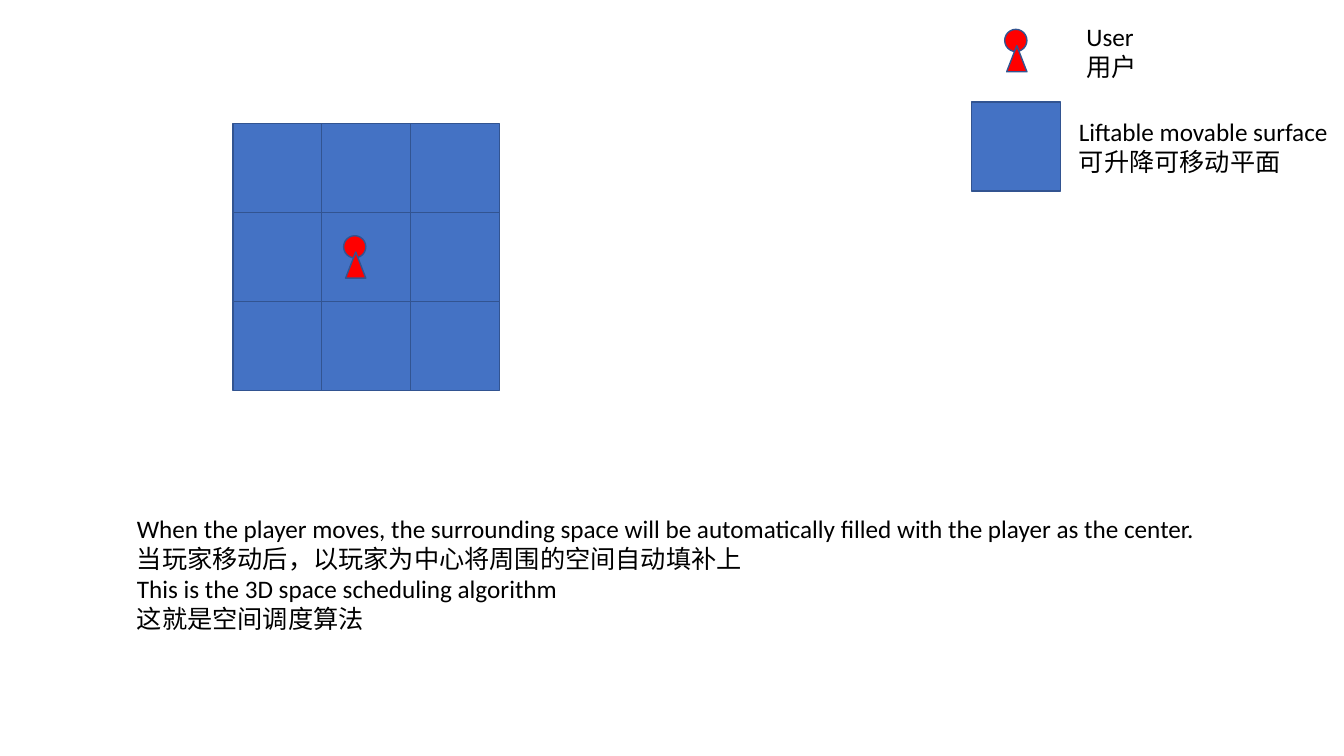
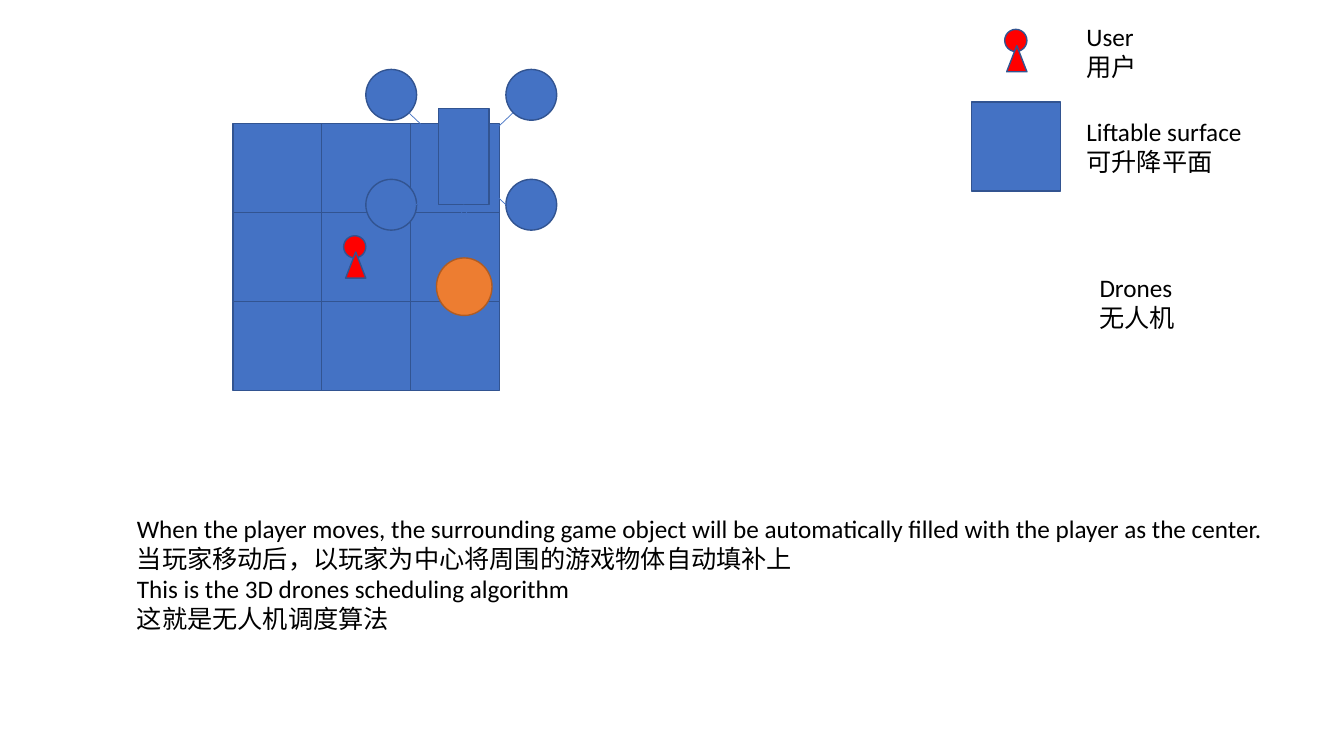
from dataclasses import dataclass
from itertools import product

from lxml import etree
from pptx import Presentation
from pptx.dml.color import RGBColor
from pptx.enum.shapes import MSO_CONNECTOR, MSO_SHAPE
from pptx.enum.text import MSO_AUTO_SIZE
from pptx.oxml.ns import qn
from pptx.shapes.autoshape import Shape
from pptx.shapes.connector import Connector
from pptx.slide import Slide
from pptx.util import Cm, Pt

RECTANGLE = MSO_SHAPE.RECTANGLE
OVAL = MSO_SHAPE.OVAL
TRIANGLE = MSO_SHAPE.ISOSCELES_TRIANGLE
STRAIGHT = MSO_CONNECTOR.STRAIGHT
BOTTOM_SIDE = 2
BLANK_LAYOUT = 6


@dataclass(frozen=True)
class Theme:
    blue: RGBColor = RGBColor.from_string("4472C4")
    blue_outline: RGBColor = RGBColor.from_string("325491")
    red: RGBColor = RGBColor.from_string("FF0000")
    orange: RGBColor = RGBColor.from_string("ED7D31")
    orange_outline: RGBColor = RGBColor.from_string("AF5C24")
    text: RGBColor = RGBColor.from_string("000000")
    font: str = "Calibri"
    text_size: Pt = Pt(18)
    outline_width: Pt = Pt(1)
    connector_width: Pt = Pt(0.5)


@dataclass(frozen=True)
class Box:
    """A rectangle in centimetres."""
    left: float
    top: float
    width: float
    height: float


@dataclass(frozen=True)
class TextBlock:
    box: Box
    lines: tuple[str, ...]


@dataclass(frozen=True)
class SlideContent:
    surface_label: TextBlock
    caption: TextBlock
    has_drone: bool = False


THEME = Theme()
TILE = 2.24
GRID_LEFT, GRID_TOP, GRID_SIZE = 5.87, 3.12, 3
LABEL_WIDTH, LABEL_HEIGHT = 6.02, 1.8
CAPTION_LEFT, CAPTION_TOP, CAPTION_HEIGHT = 3.2, 12.8, 3.33

USER_LABEL = TextBlock(Box(27.13, 0.41, LABEL_WIDTH, LABEL_HEIGHT), ("User", "用户"))
DRONE_LABEL = TextBlock(Box(27.46, 6.73, LABEL_WIDTH, LABEL_HEIGHT), ("Drones", "无人机"))

SLIDES = (
    SlideContent(
        TextBlock(Box(26.94, 2.8, 6.93, LABEL_HEIGHT),
                  ("Liftable movable surface", "可升降可移动平面")),
        TextBlock(Box(CAPTION_LEFT, CAPTION_TOP, 27.48, CAPTION_HEIGHT), (
            "When the player moves, the surrounding space will be automatically "
            "filled with the player as the center.",
            "当玩家移动后，以玩家为中心将周围的空间自动填补上",
            "This is the 3D space scheduling algorithm",
            "这就是空间调度算法",
        )),
    ),
    SlideContent(
        TextBlock(Box(27.13, 2.8, LABEL_WIDTH, LABEL_HEIGHT),
                  ("Liftable surface", "可升降平面")),
        TextBlock(Box(CAPTION_LEFT, CAPTION_TOP, 29.6, CAPTION_HEIGHT), (
            "When the player moves, the surrounding game object will be automatically "
            "filled with the player as the center.",
            "当玩家移动后，以玩家为中心将周围的游戏物体自动填补上",
            "This is the 3D drones scheduling algorithm",
            "这就是无人机调度算法",
        )),
        has_drone=True,
    ),
)


def add_filled_shape(slide: Slide, kind: MSO_SHAPE, box: Box,
                     fill: RGBColor = THEME.blue,
                     outline: RGBColor = THEME.blue_outline) -> Shape:
    shape = slide.shapes.add_shape(
        kind, Cm(box.left), Cm(box.top), Cm(box.width), Cm(box.height))
    shape.shadow.inherit = False
    shape.fill.solid()
    shape.fill.fore_color.rgb = fill
    shape.line.color.rgb = outline
    shape.line.width = THEME.outline_width
    return shape


def add_line(slide: Slide, start: tuple[float, float],
             end: tuple[float, float]) -> Connector:
    connector = slide.shapes.add_connector(
        STRAIGHT, Cm(start[0]), Cm(start[1]), Cm(end[0]), Cm(end[1]))
    connector.line.color.rgb = THEME.blue
    connector.line.width = THEME.connector_width
    etree.SubElement(connector.element.spPr, qn("a:effectLst"))
    return connector


def add_text(slide: Slide, block: TextBlock) -> None:
    box = block.box
    text_box = slide.shapes.add_textbox(
        Cm(box.left), Cm(box.top), Cm(box.width), Cm(box.height))
    frame = text_box.text_frame
    frame.word_wrap = True
    frame.auto_size = MSO_AUTO_SIZE.SHAPE_TO_FIT_TEXT
    frame.text = "\n".join(block.lines)
    for paragraph in frame.paragraphs:
        paragraph.font.name = THEME.font
        paragraph.font.size = THEME.text_size
        paragraph.font.color.rgb = THEME.text


def add_surface(slide: Slide, left: float, top: float) -> None:
    add_filled_shape(slide, RECTANGLE, Box(left, top, TILE, TILE))


def add_user(slide: Slide, left: float, top: float) -> None:
    add_filled_shape(slide, OVAL, Box(left, top, 0.56, 0.56), THEME.red)
    add_filled_shape(slide, TRIANGLE, Box(left + 0.05, top + 0.41, 0.51, 0.66), THEME.red)


def add_drone(slide: Slide) -> None:
    """Draw four rotors, crossed arms and a body carrying a ball on two cables."""
    for left, top in product((9.22, 12.75), (1.75, 4.52)):
        add_filled_shape(slide, OVAL, Box(left, top, 1.28, 1.28))
    add_line(slide, (10.3, 2.84), (12.75, 5.16))
    add_line(slide, (12.93, 2.84), (10.49, 5.16))
    body_box = Box(11.05, 2.74, 1.28, 2.42)
    body = add_filled_shape(slide, RECTANGLE, body_box)
    hook = (body_box.left + body_box.width / 2, body_box.top + body_box.height)
    for cable_end in (11.23, 12.24):
        cable = add_line(slide, hook, (cable_end, 6.81))
        cable.begin_connect(body, BOTTOM_SIDE)
    add_filled_shape(slide, OVAL, Box(11, 6.5, 1.4, 1.45),
                     THEME.orange, THEME.orange_outline)


def build_slide(slide: Slide, content: SlideContent) -> None:
    for column, row in product(range(GRID_SIZE), repeat=2):
        add_surface(slide, GRID_LEFT + column * TILE, GRID_TOP + row * TILE)
    add_user(slide, 8.66, 5.94)
    add_user(slide, 25.32, 0.74)
    add_text(slide, USER_LABEL)
    add_surface(slide, 24.49, 2.57)
    add_text(slide, content.surface_label)
    if content.has_drone:
        add_drone(slide)
        add_text(slide, DRONE_LABEL)
    add_text(slide, content.caption)


def main() -> None:
    presentation = Presentation()
    presentation.slide_width = Cm(33.87)
    presentation.slide_height = Cm(19.05)
    layout = presentation.slide_layouts[BLANK_LAYOUT]
    for content in SLIDES:
        build_slide(presentation.slides.add_slide(layout), content)
    presentation.save("out.pptx")


if __name__ == "__main__":
    main()
